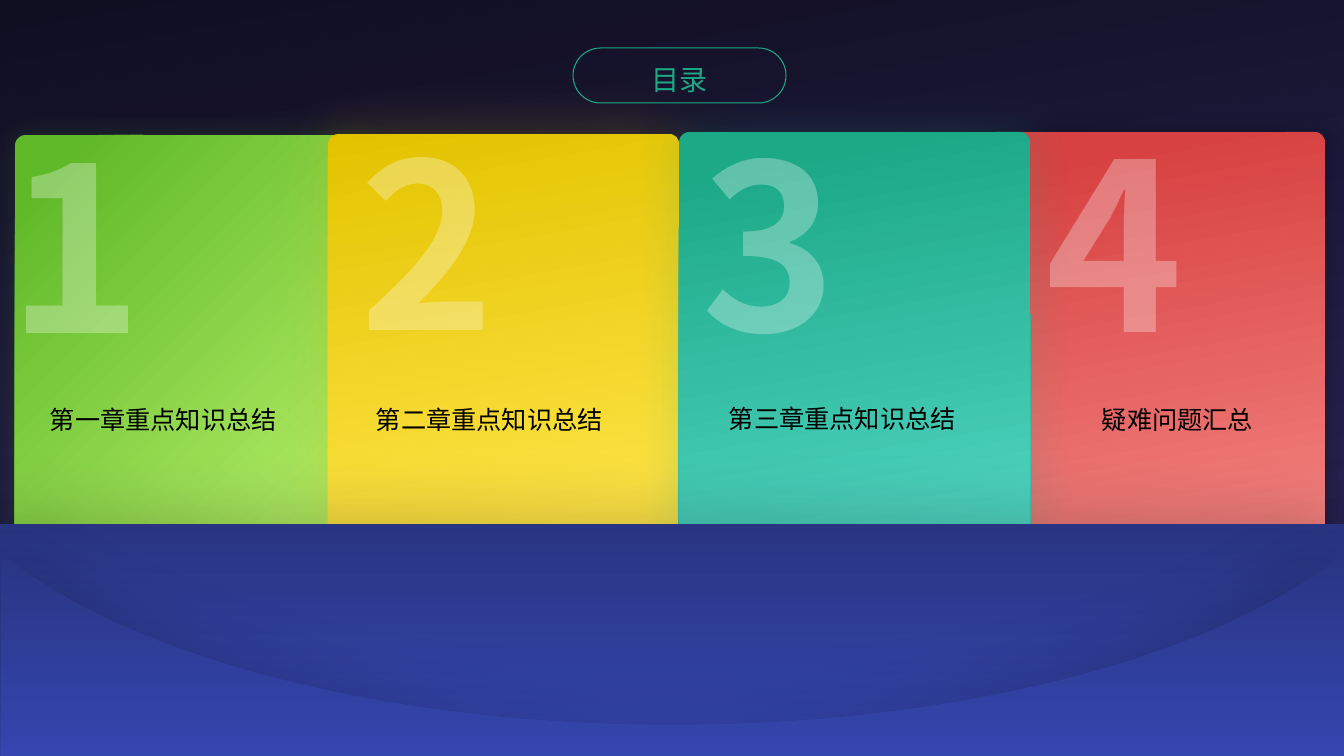
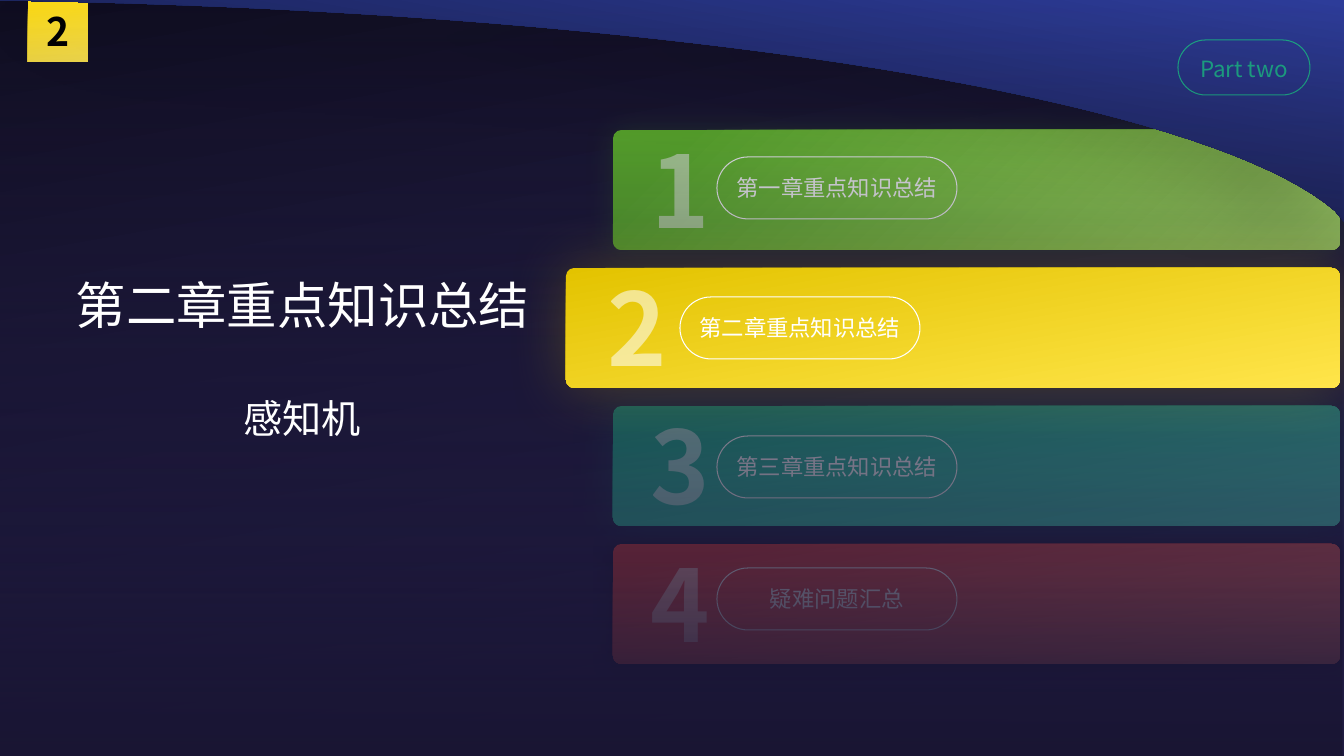
from lxml.etree import SubElement
from pptx import Presentation
from pptx.dml.color import RGBColor
from pptx.enum.shapes import MSO_SHAPE
from pptx.enum.text import MSO_ANCHOR, PP_ALIGN
from pptx.oxml.ns import qn
from pptx.util import Emu, Pt

EMU_PER_PX = 12192000 / 1344
FONT = "Noto Sans CJK SC"
WHITE = RGBColor(0xFF, 0xFF, 0xFF)
BLACK = RGBColor(0, 0, 0)
NIGHT = RGBColor(0x10, 0x0E, 0x21)
DUSK = RGBColor(0x2E, 0x28, 0x5F)
VEIL = RGBColor(0x19, 0x15, 0x33)
NAVY = RGBColor(0x29, 0x35, 0x82)
BLUE = RGBColor(0x34, 0x46, 0xAF)
INK = RGBColor(0x0E, 0x12, 0x2C)
INDIGO = RGBColor(0x2E, 0x3D, 0x9A)
TEAL = RGBColor(0x1C, 0xA9, 0x86)
AQUA = RGBColor(0x50, 0xD4, 0xC2)
GREEN = RGBColor(0x60, 0xB9, 0x29)
LIME = RGBColor(0xB7, 0xF0, 0x6A)
GREEN_GLOW = RGBColor(0x51, 0x9C, 0x23)
RED = RGBColor(0xD7, 0x41, 0x41)
CORAL = RGBColor(0xF2, 0x81, 0x7E)
GOLD = RGBColor(0xE3, 0xC3, 0x00)
LEMON = RGBColor(0xFF, 0xE5, 0x4A)
GOLD_GLOW = RGBColor(0xCF, 0xB2, 0x07)
BADGE = RGBColor(0xFD, 0xDC, 0x18)
BADGE_END = RGBColor(0xFD, 0xE4, 0x4E)

STYLES = {
    "1": ([(9, GREEN), (100, LIME)], 45, (GREEN_GLOW, 22, 22, 0, 0)),
    "2": ([(0, GOLD), (100, LEMON)], 80, (GOLD_GLOW, 25, 44, 0, 0)),
    "3": ([(9, TEAL), (100, AQUA)], 80, (TEAL, 22, 32, 0, 0)),
    "4": ([(9, RED), (100, CORAL)], 80, (BLACK, 25, 16, 0, 0)),
}
TITLES = {
    "1": "第一章重点知识总结",
    "2": "第二章重点知识总结",
    "3": "第三章重点知识总结",
    "4": "疑难问题汇总",
}
ACTIVE = "2"


def paint(sp, stops, angle, shadow=None):
    sp.line.fill.background()
    sp.fill.background()
    sp.shadow.inherit = False
    props = sp.element.spPr
    grad = props.makeelement(qn("a:gradFill"), {"rotWithShape": "1"})
    props.replace(props.find(qn("a:noFill")), grad)
    gs_list = SubElement(grad, qn("a:gsLst"))
    for position, color, *alpha in stops:
        gs = SubElement(gs_list, qn("a:gs"), pos=str(position * 1000))
        clr = SubElement(gs, qn("a:srgbClr"), val=str(color))
        if alpha:
            SubElement(clr, qn("a:alpha"), val=str(alpha[0] * 1000))
    SubElement(grad, qn("a:lin"), ang=str(angle * 60000), scaled="0")
    if shadow:
        color, alpha, blur, distance, direction = shadow
        outer = SubElement(props.find(qn("a:effectLst")), qn("a:outerShdw"),
                           blurRad=str(Pt(blur)), dist=str(Pt(distance)),
                           dir=str(direction * 60000), algn="ctr", rotWithShape="0")
        clr = SubElement(outer, qn("a:srgbClr"), val=str(color))
        SubElement(clr, qn("a:alpha"), val=str(alpha * 1000))


def write(s, text, box, size, color=WHITE, alpha=100, bold=False, align=PP_ALIGN.CENTER,
          shape=None, outline=None, top=5):
    area = [Emu(round(v * EMU_PER_PX)) for v in box]
    if shape:
        sp = s.shapes.add_shape(shape, *area)
        sp.shadow.inherit = False
        sp.fill.background()
        if shape == MSO_SHAPE.ROUNDED_RECTANGLE:
            sp.adjustments[0] = 0.5
    else:
        sp = s.shapes.add_textbox(*area)
    if outline:
        sp.line.color.rgb = outline
        sp.line.width = Pt(0.75)
    tf = sp.text_frame
    tf.word_wrap = not shape
    tf.vertical_anchor = MSO_ANCHOR.MIDDLE if shape else MSO_ANCHOR.TOP
    tf.margin_top = Emu(round(top * EMU_PER_PX))
    if shape:
        tf.margin_left = tf.margin_right = tf.margin_bottom = 0
    p = tf.paragraphs[0]
    p.alignment = align
    r = p.add_run()
    r.text = text
    r.font.size = Pt(size)
    r.font.bold = bold
    r.font.name = FONT
    r.font.color.rgb = color
    SubElement(r.font._element, qn("a:ea"), typeface=FONT)
    if alpha < 100:
        clr = r.font._element.find(qn("a:solidFill")).find(qn("a:srgbClr"))
        SubElement(clr, qn("a:alpha"), val=str(alpha * 1000))
    return sp


prs = Presentation()
prs.slide_width = Emu(round(1344 * EMU_PER_PX))
prs.slide_height = Emu(round(756 * EMU_PER_PX))

backdrop = prs.slide_master.background.fill
backdrop.gradient()
backdrop.gradient_angle = 280
for stop, color in zip(backdrop.gradient_stops, (NIGHT, DUSK)):
    stop.color.rgb = color

blank = prs.slide_layouts[6]
contents = prs.slides.add_slide(blank)
section = prs.slides.add_slide(blank)

for number, x, y in (("1", 15, 135), ("4", 974, 132), ("2", 328, 134), ("3", 679, 132)):
    area = [Emu(round(v * EMU_PER_PX)) for v in (x, y, 351, 403)]
    sp = contents.shapes.add_shape(MSO_SHAPE.ROUNDED_RECTANGLE, *area)
    sp.adjustments[0] = 0.03
    paint(sp, *STYLES[number])

write(contents, "目录", (573, 48, 213, 55), 20, TEAL,
      shape=MSO_SHAPE.ROUNDED_RECTANGLE, outline=TEAL, top=8)

for number, center, y, size, label_x, label_y in (
    ("1", 75, 99, 164, 40, 399),
    ("2", 427, 96, 164, 366, 399),
    ("3", 769, 97, 164, 719, 398),
    ("4", 1115, 94, 167, 1092, 399),
):
    write(contents, number, (center - 156, y, 312, 288), size, alpha=30, bold=True)
    write(contents, TITLES[number], (label_x, label_y, 268, 40), 18, BLACK,
          align=PP_ALIGN.LEFT)

area = [Emu(round(v * EMU_PER_PX)) for v in (0, 524, 1344, 232)]
base = contents.shapes.add_shape(MSO_SHAPE.RECTANGLE, *area)
paint(base, [(0, NAVY), (100, BLUE)], 90, (BLACK, 20, 50, 8, 225))

raised = []
for row, (number, pill_y) in enumerate(zip(TITLES, (157, 297, 436, 568))):
    active = number == ACTIVE
    x = 566 if active else 613
    y = 130 + 138 * row
    area = [Emu(round(v * EMU_PER_PX)) for v in (x, y, 1340 - x, 120)]
    card = section.shapes.add_shape(MSO_SHAPE.ROUNDED_RECTANGLE, *area)
    card.adjustments[0] = 0.07
    paint(card, *STYLES[number])
    digit = write(section, number, (x + 7, y - 7, 129 if active else 121, 132), 72,
                  alpha=54, bold=True)
    pill = write(section, TITLES[number], (680 if active else 717, pill_y, 240, 62), 16,
                 shape=MSO_SHAPE.ROUNDED_RECTANGLE, outline=WHITE, top=0)
    if active:
        raised = [card, digit, pill]

badge = write(section, ACTIVE, (28, 0, 60, 62), 28, BLACK, bold=True,
              shape=MSO_SHAPE.RECTANGLE, top=0)
paint(badge, [(9, BADGE), (100, BADGE_END)], 80)

STEPS = 40
for s, corners, curves, stops, angle, shadow in (
    (contents, [(1344, 551), (1344, 756), (1, 756), (1, 552)],
     [((18, 566), (144, 660), (389, 725), (672, 725)),
      ((672, 725), (955, 725), (1201, 660), (1327, 566))],
     [(0, NAVY), (100, BLUE)], 90, (BLACK, 20, 50, 8, 225)),
    (section, [(1344, 222), (1344, 0), (0, 0), (0, 1)],
     [((29, 1), (680, 13), (1206, 99), (1335, 211))],
     [(0, INK), (100, INDIGO)], 280, (BLACK, 21, 60, 28, 135)),
):
    points = list(corners)
    for curve in curves:
        for step in range(STEPS + 1):
            t = step / STEPS
            weights = ((1 - t) ** 3, 3 * t * (1 - t) ** 2, 3 * t * t * (1 - t), t ** 3)
            points.append([sum(w * pt[axis] for w, pt in zip(weights, curve))
                           for axis in (0, 1)])
    points = [(round(x * EMU_PER_PX), round(y * EMU_PER_PX)) for x, y in points]
    builder = s.shapes.build_freeform(*points[0])
    builder.add_line_segments(points[1:], close=True)
    paint(builder.convert_to_shape(), stops, angle, shadow)

write(section, "Part two", (1178, 40, 132, 55), 16, TEAL,
      shape=MSO_SHAPE.ROUNDED_RECTANGLE, outline=TEAL, top=3)

veil = section.shapes.add_shape(MSO_SHAPE.RECTANGLE, 0, 0, prs.slide_width, prs.slide_height)
paint(veil, [(0, VEIL, 0), (50, VEIL, 50), (75, VEIL, 69), (100, VEIL, 100)], 90)

write(section, TITLES[ACTIVE], (63, 269, 479, 72), 36)
write(section, "感知机", (77, 389, 450, 57), 28)

for sp in raised:
    sp.element.getparent().append(sp.element)

prs.save("out.pptx")
